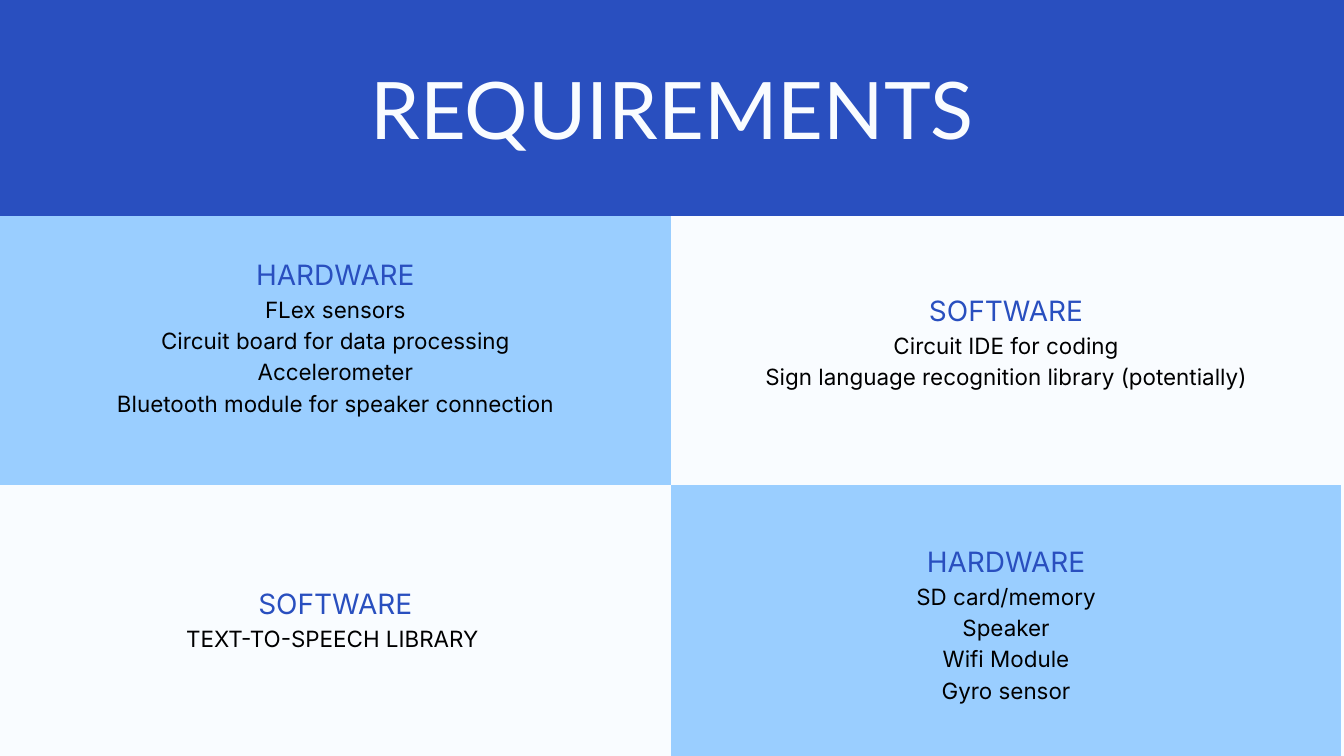
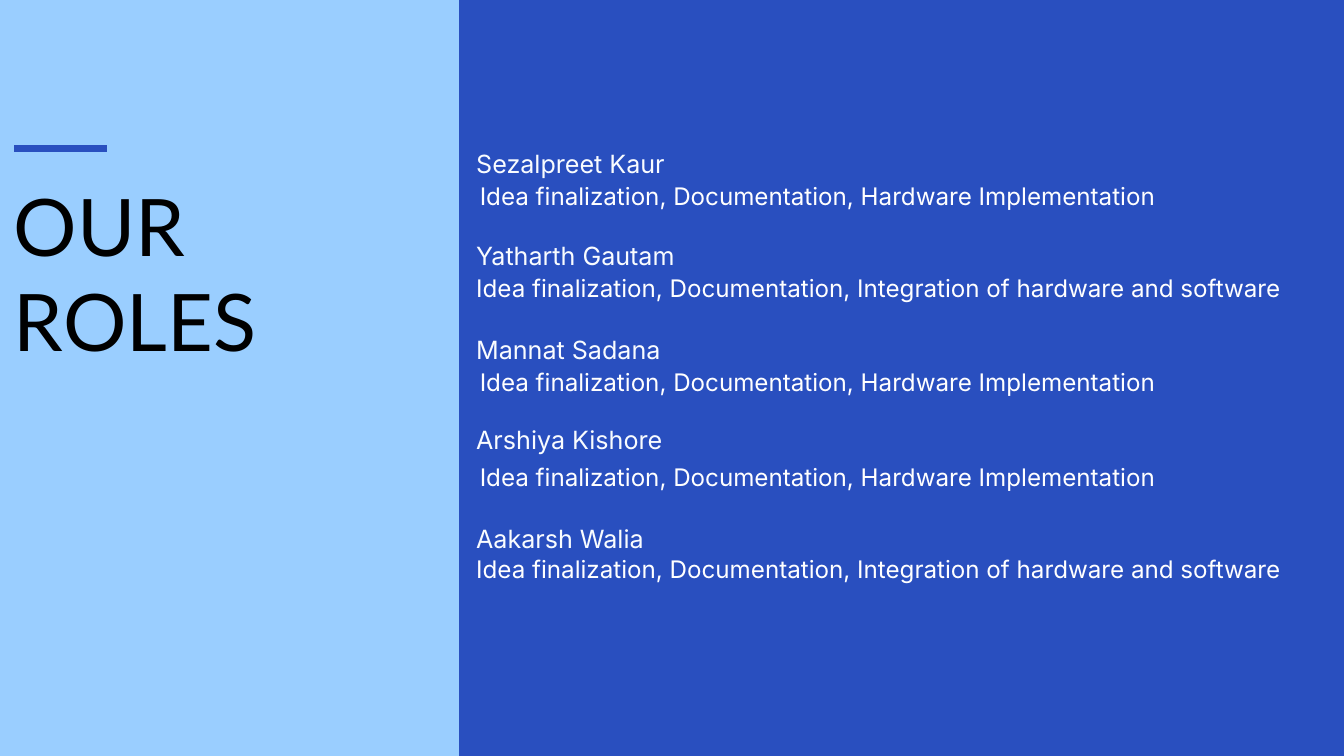
import pptx
import pptx.dml.color
import pptx.enum.shapes
import pptx.enum.text
import pptx.oxml.ns
import pptx.util
from lxml import etree

Cm = pptx.util.Cm
Pt = pptx.util.Pt
ALIGN = pptx.enum.text.PP_ALIGN
MIDDLE = pptx.enum.text.MSO_ANCHOR.MIDDLE

BLUE, SKY, PALE, WHITE, BLACK = "294FBF", "9ACEFF", "F9FCFF", "FFFFFF", "000000"
WIDTH, HEIGHT = 50.8, 28.58
NO_STYLE = "{2D5ABB26-0587-4C30-8999-92F81FD0307C}"

TITLE = {"name": "Lato", "size": 85, "leading": 102}
HEADING = {"name": "Inter", "size": 30, "leading": 42, "color": BLUE}
ITEM = {"name": "Inter", "size": 24, "leading": 33.6, "color": BLACK}
PERSON = {"name": "Inter", "size": 26.9, "leading": 32.3, "color": PALE}
ROLE = {"name": "Inter", "size": 25.9, "leading": 36.3, "color": WHITE}

REQUIREMENTS = [
    [("HARDWARE", ["FLex sensors", "Circuit board for data processing",
                   "Accelerometer", "Bluetooth module for speaker connection"]),
     ("SOFTWARE", ["Circuit IDE for coding",
                   "Sign language recognition library (potentially)"])],
    [("SOFTWARE", ["TEXT-TO-SPEECH LIBRARY "]),
     ("HARDWARE", ["SD card/memory", "Speaker", "Wifi Module", "Gyro sensor"])],
]
COLUMN_MARGINS = [{"margin_top": Cm(0.53), "margin_bottom": Cm(1.65)},
                  {"margin_top": Cm(0.53), "margin_bottom": Cm(1.3)}]
COLUMN_MARGINS[1]["margin_bottom"] = Cm(1.3)

HARDWARE_ROLE = "Idea finalization, Documentation, Hardware Implementation"
SOFTWARE_ROLE = ("Idea finalization, Documentation, "
                 "Integration of hardware and software")
MEMBERS = [
    ("Sezalpreet Kaur", 5.61, HARDWARE_ROLE, 6.68),
    ("Yatharth Gautam", 9.09, SOFTWARE_ROLE, 10.16),
    ("Mannat Sadana", 12.64, HARDWARE_ROLE, 13.72),
    ("Arshiya Kishore", 16.05, HARDWARE_ROLE, 17.3),
    ("Aakarsh Walia", 19.78, SOFTWARE_ROLE, 20.78),
]
ROLE_LAYOUT = {HARDWARE_ROLE: (25.81, ALIGN.CENTER),
               SOFTWARE_ROLE: (31.72, ALIGN.LEFT)}


def rgb(value):
    """Turn a hex string into a colour."""
    return pptx.dml.color.RGBColor.from_string(value)


def set_attrs(obj, values):
    """Set attributes of an object from a dict."""
    for name, value in values.items():
        setattr(obj, name, value)


def set_margins(obj, size):
    """Give a text frame or cell the same margin on every side."""
    sides = ("left", "right", "top", "bottom")
    set_attrs(obj, {f"margin_{side}": Cm(size) for side in sides})


def write(tf, lines, align=ALIGN.LEFT):
    """Write one paragraph for each pair of text and style."""
    for i, (text, style) in enumerate(lines):
        p = tf.add_paragraph() if i else tf.paragraphs[0]
        set_attrs(p, {"alignment": align, "line_spacing": Pt(style["leading"])})
        r = p.add_run()
        r.text = text
        set_attrs(r.font, {"name": style["name"], "size": Pt(style["size"])})
        r.font.color.rgb = rgb(style["color"])


def add_text(s, box, text, style, align=ALIGN.LEFT):
    """Add a text box without margins."""
    tf = s.shapes.add_textbox(*map(Cm, box)).text_frame
    tf.word_wrap = True
    set_margins(tf, 0)
    write(tf, [(text, style)], align)


def add_panel(s, box, color):
    """Add a plain filled rectangle."""
    kind = pptx.enum.shapes.MSO_SHAPE.RECTANGLE
    sp = s.shapes.add_shape(kind, *map(Cm, box))
    sp.shadow.inherit = False
    sp.fill.solid()
    sp.fill.fore_color.rgb = rgb(color)
    sp.line.fill.background()
    return sp


def add_rule(s, left, top, length):
    """Add a thick horizontal line."""
    kind = pptx.enum.shapes.MSO_CONNECTOR.STRAIGHT
    line = s.shapes.add_connector(kind, *map(Cm, (left, top, left + length, top)))
    line.line.width = Pt(7)
    line.line.color.rgb = rgb(BLUE)
    props = line._element.spPr
    etree.SubElement(props, pptx.oxml.ns.qn("a:effectLst"))


def add_slide(prs, color):
    """Add a blank slide with a background colour."""
    s = prs.slides.add_slide(prs.slide_layouts[6])
    s.background.fill.solid()
    s.background.fill.fore_color.rgb = rgb(color)
    return s


def title_band(s, box, text):
    """Add a blue band with a centred title."""
    tf = add_panel(s, box, BLUE).text_frame
    set_attrs(tf, {"word_wrap": True, "vertical_anchor": MIDDLE})
    set_margins(tf, 0.71)
    write(tf, [(text, TITLE | {"color": PALE})], ALIGN.CENTER)


def requirement_grid(s, left, top, column, rows):
    """Add the checkered table of requirements."""
    box = (left, top, 2 * column, sum(rows))
    table = s.shapes.add_table(2, 2, *map(Cm, box)).table
    set_attrs(table, {"first_row": False, "horz_banding": False})
    table._tbl.tblPr[0].text = NO_STYLE
    for i, height in enumerate(rows):
        table.rows[i].height = Cm(height)
        for j, (heading, items) in enumerate(REQUIREMENTS[i]):
            cell = table.cell(i, j)
            cell.fill.solid()
            cell.fill.fore_color.rgb = rgb(SKY if i == j else PALE)
            cell.vertical_anchor = MIDDLE
            set_margins(cell, 0.53)
            set_attrs(cell, COLUMN_MARGINS[j])
            lines = [(heading, HEADING)] + [(item, ITEM) for item in items]
            write(cell.text_frame, lines, ALIGN.CENTER)


def title_column(s, box, text):
    """Add a side panel with a rule above its title."""
    left, top, width, height = box
    add_panel(s, box, SKY)
    add_text(s, (left + 0.53, top + 6.71, width - 2.57, 3.58), text,
             TITLE | {"color": BLACK})
    add_rule(s, left + 0.53, top + 5.61, 3.53)


def member_list(s, left, top):
    """Add each member's name with the role beneath it."""
    for name, name_top, role, role_top in MEMBERS:
        add_text(s, (left, top + name_top, 20.37, 1.12), name, PERSON)
        width, align = ROLE_LAYOUT[role]
        add_text(s, (left, top + role_top, width, 1.22), role, ROLE, align)


def requirements_slide(prs):
    """Build the slide of requirements."""
    s = add_slide(prs, PALE)
    title_band(s, (0, 0, WIDTH, 8.16), "REQUIREMENTS")
    requirement_grid(s, 0, 8.16, 25.35, (10.16, 11.18))


def roles_slide(prs):
    """Build the slide of team roles."""
    s = add_slide(prs, BLUE)
    title_column(s, (0, 0, 17.35, HEIGHT), "OUR ROLES")
    member_list(s, 18, 0)


def main():
    """Build and save the presentation."""
    prs = pptx.Presentation()
    set_attrs(prs, {"slide_width": Cm(WIDTH), "slide_height": Cm(HEIGHT)})
    requirements_slide(prs)
    roles_slide(prs)
    prs.save("out.pptx")


if __name__ == "__main__":
    main()
